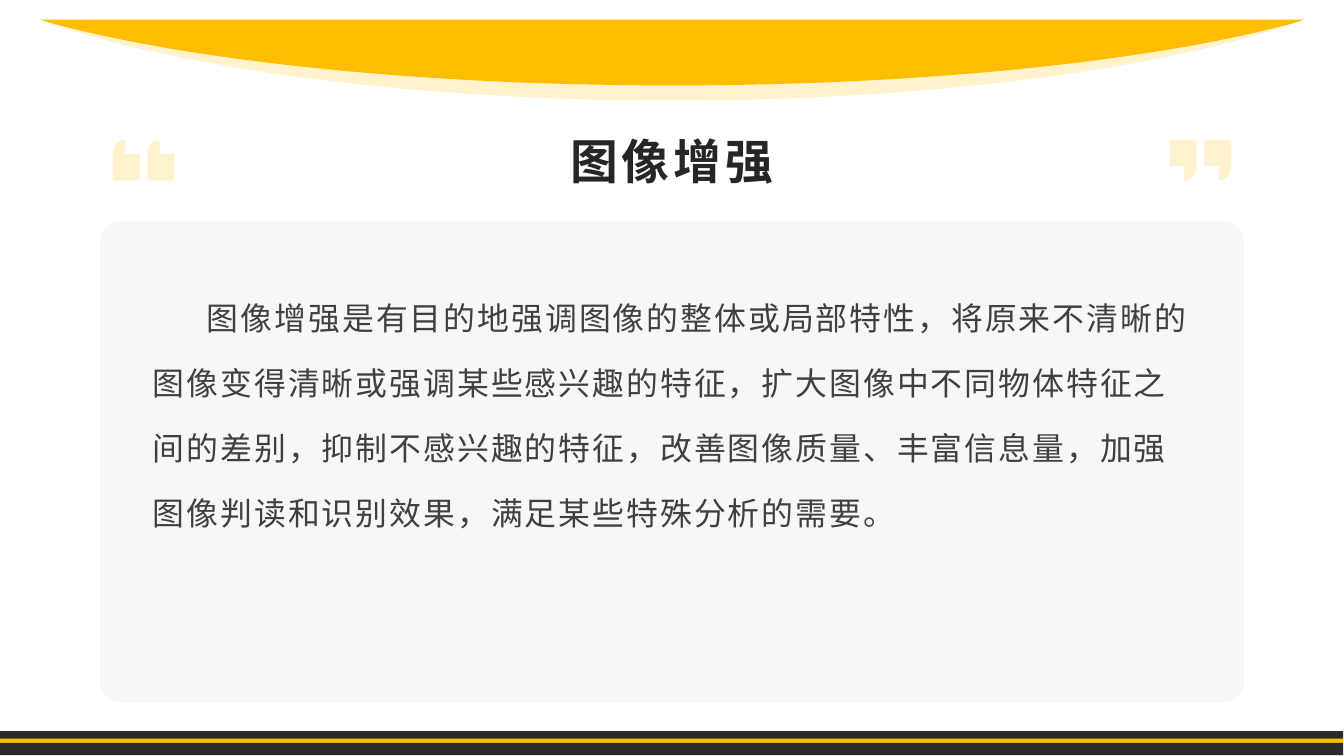
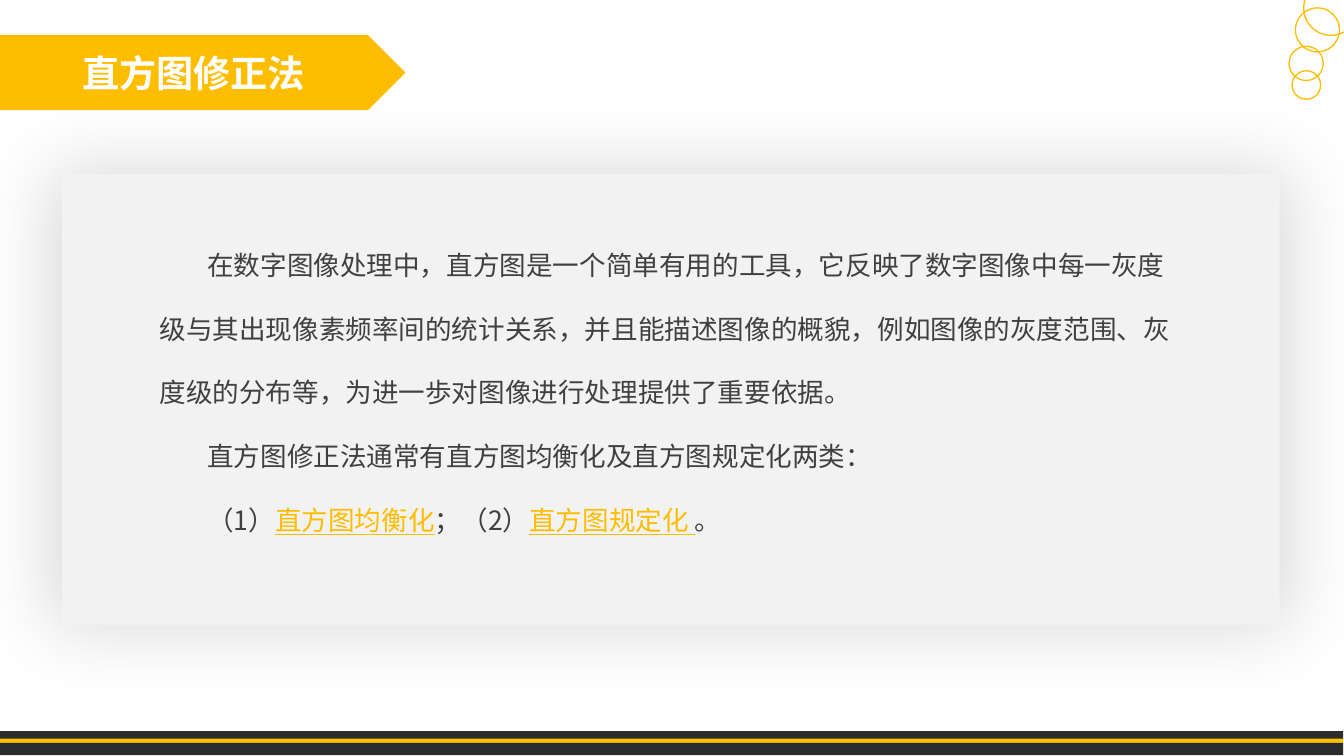
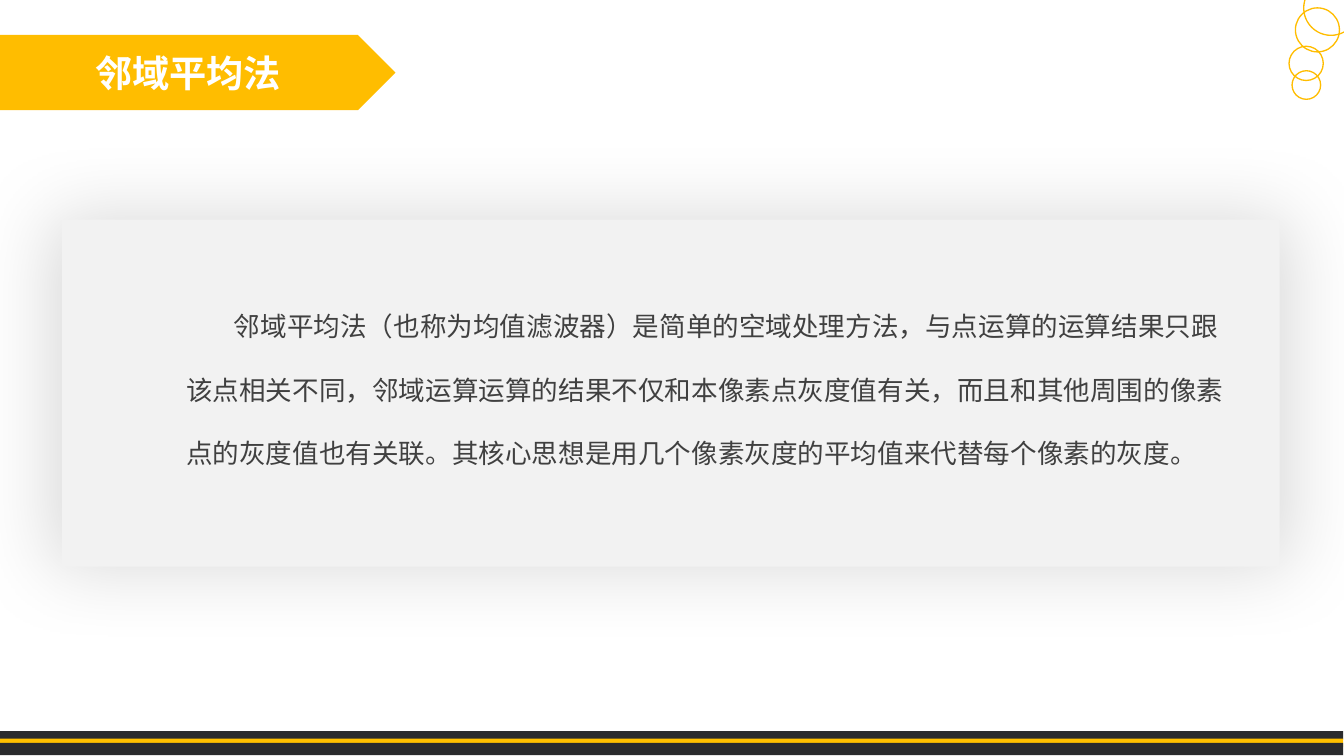
from dataclasses import dataclass

from lxml.etree import SubElement
from pptx import Presentation
from pptx.dml.color import RGBColor
from pptx.enum.shapes import MSO_SHAPE
from pptx.enum.text import MSO_ANCHOR, PP_ALIGN
from pptx.oxml.ns import qn
from pptx.util import Cm, Pt


@dataclass(frozen=True)
class Theme:
    """Colours, fonts and type sizes shared by the slides."""

    gold: str = "FFBD00"
    stripe: str = "FFC000"
    cream: str = "FFF2CC"
    dark: str = "2A2B2D"
    card: str = "F2F2F2"
    heading: str = "262626"
    body: str = "404040"
    white: str = "FFFFFF"
    cjk: str = "Noto Sans CJK SC"
    latin: str = "Arial"
    cover_size: int = 36
    banner_size: int = 28
    lead_size: int = 24
    body_size: int = 20
    cover_spacing: float = 1.2
    lead_spacing: float = 1.7
    body_spacing: float = 2.0


@dataclass(frozen=True)
class Box:
    """A rectangle in centimetres."""

    left: float
    top: float
    width: float
    height: float

    def inner(self, left, top, width, height):
        """Return a box offset from this one's corner."""
        return Box(self.left + left, self.top + top, width, height)

    def lengths(self):
        """Return the four values as lengths."""
        return Cm(self.left), Cm(self.top), Cm(self.width), Cm(self.height)


THEME = Theme()
SLIDE = Box(0, 0, 35.72, 20.09)


def paint(shape, fill=None, line=None):
    """Give a shape its fill and outline without a shadow."""
    shape.shadow.inherit = False
    if fill:
        shape.fill.solid()
        shape.fill.fore_color.rgb = RGBColor.from_string(fill)
    else:
        shape.fill.background()
    if line:
        shape.line.color.rgb = RGBColor.from_string(line)
        shape.line.width = Pt(1)
    else:
        shape.line.fill.background()
    return shape


def add_preset(shapes, kind, box, fill=None, line=None):
    """Add a preset shape."""
    return paint(shapes.add_shape(kind, *box.lengths()), fill, line)


def add_outline(shapes, box, points, curves, fill):
    """Add a closed outline; curves lists the points where three controls begin."""
    spots = [(Cm(box.left + x * box.width), Cm(box.top + y * box.height)) for x, y in points]
    builder = shapes.build_freeform(*spots[0])
    builder.add_line_segments(spots[1:], close=True)
    shape = builder.convert_to_shape()
    segments = list(shape._element.iter(qn("a:lnTo")))
    for first in curves:
        trio = segments[first - 1:first + 2]
        bend = trio[0].makeelement(qn("a:cubicBezTo"))
        trio[0].addprevious(bend)
        for segment in trio:
            bend.append(segment[0])
            segment.getparent().remove(segment)
    return paint(shape, fill)


def style_span(span, size, colour, latin=THEME.cjk, bold=False, spacing=0):
    """Format one run."""
    span.font.size = Pt(size)
    span.font.bold = bold
    span.font.color.rgb = RGBColor.from_string(colour)
    span.font.name = latin
    properties = span.font._element
    SubElement(properties, qn("a:ea")).set("typeface", THEME.cjk)
    if spacing:
        properties.set("spc", str(int(spacing * 100)))


def add_frame(page, box):
    """Add a wrapping text box and return its frame."""
    frame = page.shapes.add_textbox(*box.lengths()).text_frame
    frame.word_wrap = True
    return frame


def add_prose(page, box, paragraphs, size, leading, indent, latin=THEME.cjk, spacing=0):
    """Add indented paragraphs of (text, is_term) pieces."""
    frame = add_frame(page, box)
    for number, pieces in enumerate(paragraphs):
        para = frame.add_paragraph() if number else frame.paragraphs[0]
        para.line_spacing = leading
        para._p.get_or_add_pPr().set("indent", str(Cm(indent)))
        for text, is_term in pieces:
            span = para.add_run()
            span.text = text
            style_span(span, size, THEME.gold if is_term else THEME.body, latin, spacing=spacing)
            if is_term:
                span.font.underline = True


def add_footer(page, master, box):
    """Draw the striped bottom band and hand it to the master."""
    stripes = ((0, 0.22, THEME.dark), (0.2, 0.22, THEME.stripe), (0.31, 0.33, THEME.dark))
    for top, height, colour in stripes:
        stripe = add_preset(page.shapes, MSO_SHAPE.RECTANGLE,
                            box.inner(0, top, box.width, height), colour)
        master.shapes._spTree.append(stripe._element)


def add_arc(page, box, colour):
    """Add one hanging arc with a flat top."""
    right = [(0.99, 0.06), (0.88, 0.63), (0.7, 1), (0.5, 1)]
    left = [(1 - x, y) for x, y in reversed(right[:-1])]
    add_outline(page.shapes, box, [(0, 0), (1, 0)] + right + left, (6, 3), colour)


def add_quote(page, box, opening):
    """Add a pair of quotation marks."""
    points = [(0, 0), (1, 0), (1, 0.63), (1, 0.95), (0.61, 1), (0.54, 1), (0.54, 0.65), (0, 0.65)]
    if opening:
        points = [(1 - x, 1 - y) for x, y in points]
    group = page.shapes.add_group_shape()
    mark_width = 0.71
    for left in (0, box.width - mark_width):
        mark = box.inner(left, 0, mark_width, box.height)
        add_outline(group.shapes, mark, points, (3,), THEME.cream)


def add_cover_title(page, box, text):
    """Add the centred heading."""
    frame = add_frame(page, box)
    frame.vertical_anchor = MSO_ANCHOR.BOTTOM
    frame.text = text
    para = frame.paragraphs[0]
    para.alignment = PP_ALIGN.CENTER
    para.line_spacing = THEME.cover_spacing
    style_span(para.runs[0], THEME.cover_size, THEME.heading, bold=True, spacing=3)


def add_panel(page, box):
    """Add the translucent rounded panel."""
    panel = add_preset(page.shapes, MSO_SHAPE.ROUNDED_RECTANGLE, box, THEME.card)
    panel.adjustments[0] = 0.04
    colour = panel._element.spPr.find(qn("a:solidFill"))[0]
    SubElement(colour, qn("a:alpha")).set("val", "60000")


def add_card(page, box):
    """Add the grey card with a soft glow of shadow."""
    card = add_preset(page.shapes, MSO_SHAPE.RECTANGLE, box, THEME.card)
    effects = card._element.spPr.find(qn("a:effectLst"))
    shadow = SubElement(effects, qn("a:outerShdw"), blurRad=str(Pt(60)), sx="102000", sy="102000",
                        algn="ctr", rotWithShape="0")
    colour = SubElement(shadow, qn("a:srgbClr"), val="000000")
    SubElement(colour, qn("a:alpha"), val="15000")


def add_banner(page, box, text):
    """Add the arrow-shaped title."""
    banner = add_preset(page.shapes, MSO_SHAPE.PENTAGON, box, THEME.gold)
    frame = banner.text_frame
    frame.text = text
    frame.vertical_anchor = MSO_ANCHOR.MIDDLE
    para = frame.paragraphs[0]
    para.alignment = PP_ALIGN.CENTER
    style_span(para.runs[0], THEME.banner_size, THEME.white, THEME.latin, bold=True)


def add_bubbles(page, box):
    """Add the chain of rings in the corner."""
    group = page.shapes.add_group_shape()
    for left, top, size in ((0.39, 0, 1.45), (0.17, 0.72, 1.17), (0, 1.74, 0.91), (0.08, 2.39, 0.76)):
        add_preset(group.shapes, MSO_SHAPE.OVAL, box.inner(left, top, size, size), line=THEME.gold)


def add_page(deck):
    """Add a blank page."""
    return deck.slides.add_slide(deck.slide_layouts[6])


def build_definition(deck, title, text):
    """Build a page with a heading, quotation marks and one definition."""
    page = add_page(deck)
    panel = Box(2.66, 5.88, 30.4, 12.78)
    add_panel(page, panel)
    add_arc(page, Box(1.07, 0.52, 33.6, 2.15), THEME.cream)
    add_cover_title(page, Box(4.85, 3, 26.01, 2.16), title)
    add_prose(page, panel.inner(1.15, 1.23, 28.09, 10.31), [[(text, False)]], THEME.lead_size,
              THEME.lead_spacing, 1.44, THEME.latin, 1.5)
    add_arc(page, Box(1.07, 0.52, 33.6, 1.75), THEME.gold)
    add_quote(page, Box(31.09, 3.71, 1.63, 1.09), False)
    add_quote(page, Box(3, 3.71, 1.63, 1.09), True)
    return page


def build_method(deck, title, banner_width, card, prose, paragraphs):
    """Build a page with a banner title and a text card."""
    page = add_page(deck)
    add_card(page, card)
    add_prose(page, prose, paragraphs, THEME.body_size, THEME.body_spacing, 1.27)
    add_bubbles(page, Box(34.26, -0.51, 1.83, 3.15))
    add_banner(page, Box(0, 0.93, banner_width, 2), title)


def main():
    """Build and save the deck."""
    deck = Presentation()
    deck.slide_width, deck.slide_height = SLIDE.lengths()[2:]
    page = build_definition(
        deck, "图像增强",
        "图像增强是有目的地强调图像的整体或局部特性，将原来不清晰的图像变得清晰或强调某些感兴趣的特征，"
        "扩大图像中不同物体特征之间的差别，抑制不感兴趣的特征，改善图像质量、丰富信息量，"
        "加强图像判读和识别效果，满足某些特殊分析的需要。",
    )
    add_footer(page, deck.slide_master, SLIDE.inner(-0.02, 19.43, SLIDE.width, 0.64))
    card = Box(1.65, 4.62, 32.36, 11.98)
    build_method(deck, "直方图修正法", 10.78, card, card.inner(2.34, 1.02, 27.74, 8.81), [
        [("在数字图像处理中，直方图是一个简单有用的工具，它反映了数字图像中每一灰度级与其出现像素频率间的统计关系，"
          "并且能描述图像的概貌，例如图像的灰度范围、灰度级的分布等，为进一歩对图像进行处理提供了重要依据。", False)],
        [("直方图修正法通常有直方图均衡化及直方图规定化两类：", False)],
        [("（1）", False), ("直方图均衡化", True), ("；（2）", False), ("直方图规定化 ", True), ("。", False)],
    ])
    card = Box(1.65, 5.84, 32.36, 9.22)
    build_method(deck, "邻域平均法", 10.51, card, card.inner(3.05, 1.42, 28.58, 5.38), [
        [("邻域平均法（也称为均值滤波器）是简单的空域处理方法，与点运算的运算结果只跟该点相关不同，"
          "邻域运算运算的结果不仅和本像素点灰度值有关，而且和其他周围的像素点的灰度值也有关联。"
          "其核心思想是用几个像素灰度的平均值来代替每个像素的灰度。", False)],
    ])
    deck.save("out.pptx")


if __name__ == "__main__":
    main()
